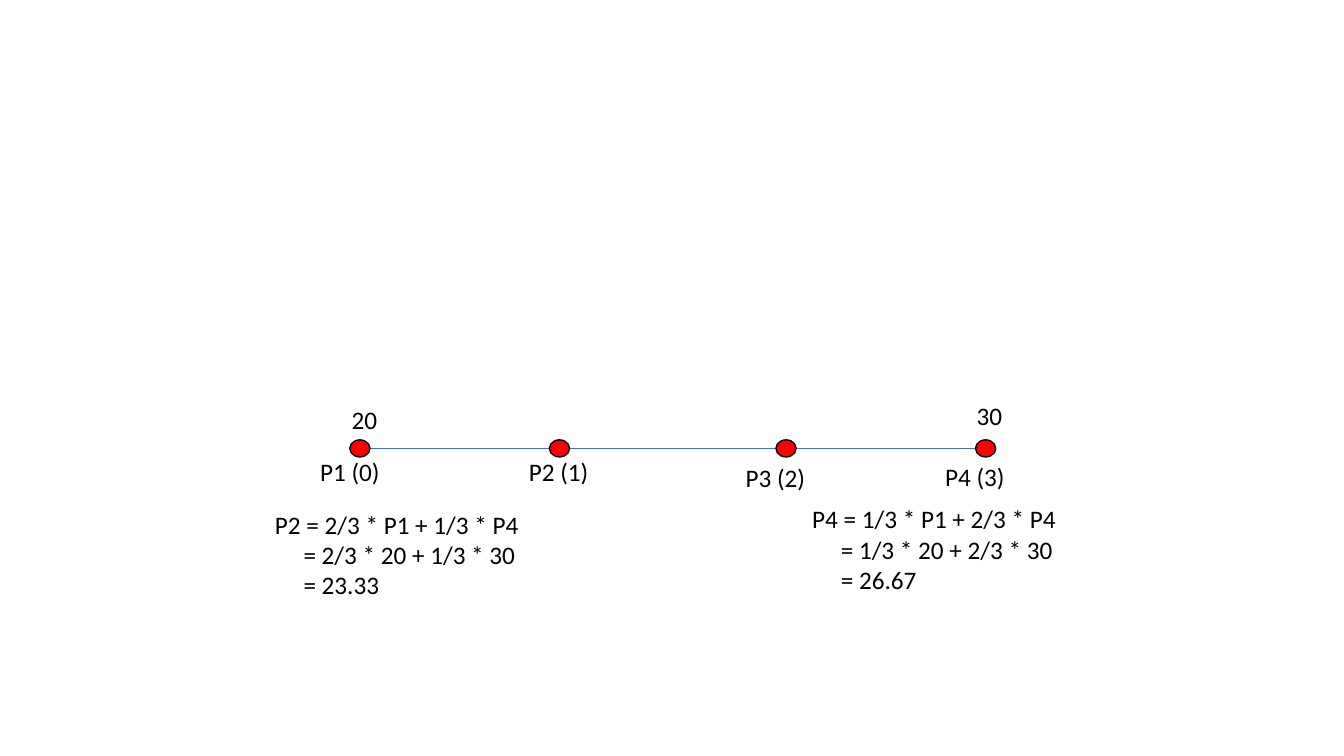
from dataclasses import dataclass

from lxml import etree
from pptx import Presentation
from pptx.dml.color import RGBColor
from pptx.enum.shapes import MSO_CONNECTOR, MSO_SHAPE
from pptx.enum.text import MSO_AUTO_SIZE
from pptx.oxml.ns import qn
from pptx.util import Cm, Pt

STRAIGHT = MSO_CONNECTOR.STRAIGHT
OVAL = MSO_SHAPE.OVAL
FIT_SHAPE = MSO_AUTO_SIZE.SHAPE_TO_FIT_TEXT


@dataclass(frozen=True)
class Theme:
    font: str = "Calibri"
    text_size: Pt = Pt(18)
    text: RGBColor = RGBColor(0x00, 0x00, 0x00)
    axis: RGBColor = RGBColor(0x44, 0x72, 0xC4)
    axis_width: Pt = Pt(0.5)
    dot: RGBColor = RGBColor(0xFF, 0x00, 0x00)
    dot_outline: RGBColor = RGBColor(0x00, 0x00, 0x00)
    dot_outline_width: Pt = Pt(1)


THEME = Theme()
AXIS_Y = Cm(11.3)
DOT_WIDTH, DOT_HEIGHT = Cm(0.51), Cm(0.43)
LABEL_SIZE = Cm(2.1), Cm(1.02)
VALUE_SIZE = Cm(1.25), Cm(1.02)
FORMULA_SIZE = Cm(6.9), Cm(2.57)
FORMULA_INDENT = Cm(0.72)

DOT_CENTERS = [Cm(9.07), Cm(14.1), Cm(19.81), Cm(24.84)]
LABELS = [
    ("P1 (0)", Cm(7.82), Cm(11.37)),
    ("P2 (1)", Cm(13.08), Cm(11.37)),
    ("P3 (2)", Cm(18.54), Cm(11.53)),
    ("P4 (3)", Cm(23.57), Cm(11.5)),
]
VALUES = [("20", Cm(8.61), Cm(10.06)), ("30", Cm(24.36), Cm(9.96))]
FORMULAS = [
    ("P2 = 2/3 * P1 + 1/3 * P4\n= 2/3 * 20 + 1/3 * 30\n= 23.33", Cm(6.68), Cm(12.7)),
    ("P4 = 1/3 * P1 + 2/3 * P4\n= 1/3 * 20 + 2/3 * 30\n= 26.67", Cm(20.22), Cm(12.57)),
]


def add_axis(slide, start, end):
    connector = slide.shapes.add_connector(STRAIGHT, start, AXIS_Y, end, AXIS_Y)
    connector.line.color.rgb = THEME.axis
    connector.line.width = THEME.axis_width
    etree.SubElement(connector._element.spPr, qn("a:effectLst"))


def add_dot(slide, center):
    shape = slide.shapes.add_shape(
        OVAL, center - DOT_WIDTH // 2, AXIS_Y - DOT_HEIGHT // 2, DOT_WIDTH, DOT_HEIGHT
    )
    shape.shadow.inherit = False
    shape.fill.solid()
    shape.fill.fore_color.rgb = THEME.dot
    shape.line.color.rgb = THEME.dot_outline
    shape.line.width = THEME.dot_outline_width


def add_text(slide, text, left, top, size):
    text_frame = slide.shapes.add_textbox(left, top, *size).text_frame
    text_frame.word_wrap = False
    text_frame.auto_size = FIT_SHAPE
    text_frame.text = text
    for paragraph in text_frame.paragraphs:
        for run in paragraph.runs:
            run.font.name = THEME.font
            run.font.size = THEME.text_size
            run.font.color.rgb = THEME.text
    return text_frame


def add_formula(slide, text, left, top):
    text_frame = add_text(slide, text, left, top, FORMULA_SIZE)
    for paragraph in text_frame.paragraphs[1:]:
        paragraph._p.get_or_add_pPr().set("marL", str(FORMULA_INDENT))


def main():
    presentation = Presentation()
    presentation.slide_width = Cm(33.87)
    presentation.slide_height = Cm(19.05)
    slide = presentation.slides.add_slide(presentation.slide_layouts[6])

    add_axis(slide, DOT_CENTERS[0], DOT_CENTERS[-1])
    for center in DOT_CENTERS:
        add_dot(slide, center)
    for text, left, top in LABELS:
        add_text(slide, text, left, top, LABEL_SIZE)
    for text, left, top in VALUES:
        add_text(slide, text, left, top, VALUE_SIZE)
    for text, left, top in FORMULAS:
        add_formula(slide, text, left, top)

    presentation.save("out.pptx")


if __name__ == "__main__":
    main()
